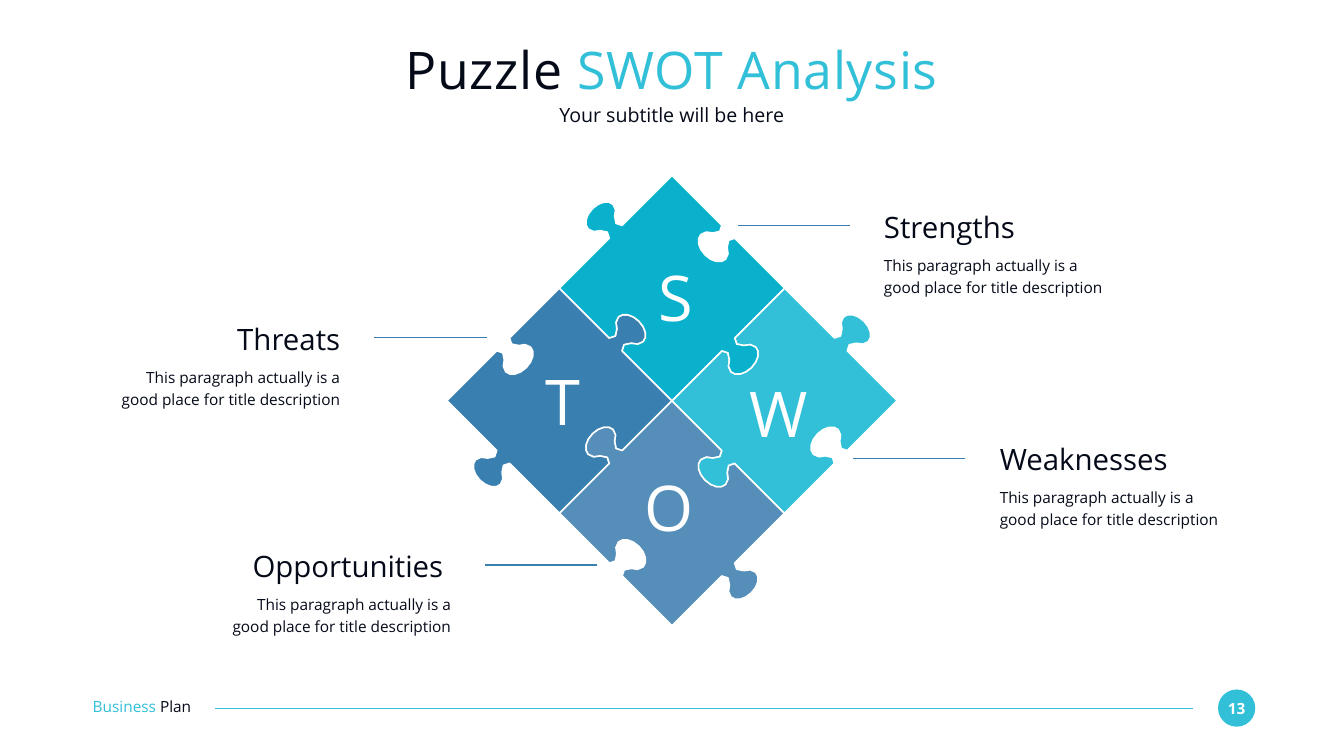
from lxml import etree
from pptx import Presentation
from pptx.dml.color import RGBColor
from pptx.enum.shapes import MSO_CONNECTOR, MSO_SHAPE
from pptx.enum.text import MSO_ANCHOR, PP_ALIGN
from pptx.oxml.ns import qn
from pptx.util import Inches, Pt

STRAIGHT = MSO_CONNECTOR.STRAIGHT
OVAL = MSO_SHAPE.OVAL
TOP, MIDDLE = MSO_ANCHOR.TOP, MSO_ANCHOR.MIDDLE
LEFT, CENTER, RIGHT = PP_ALIGN.LEFT, PP_ALIGN.CENTER, PP_ALIGN.RIGHT

WIDTH, HEIGHT = Inches(26.67), Inches(15)
COL, ROW = WIDTH / 100, HEIGHT / 100
FONT = "Open Sans"
INK = RGBColor(0x05, 0x0A, 0x19)
WHITE = RGBColor(0xFF, 0xFF, 0xFF)
CYAN = RGBColor(0x32, 0xC0, 0xD8)
TEAL = RGBColor(0x09, 0xB1, 0xCC)
BLUE = RGBColor(0x39, 0x7F, 0xB0)
STEEL = RGBColor(0x55, 0x8E, 0xB9)

DESCRIPTION = "This paragraph actually is a good place for title description"
CALLOUTS = [
    ("Threats", 8.29, 42.47, RIGHT),
    ("Opportunities ", 16.54, 72.53, RIGHT),
    ("Strengths", 65.77, 27.67, LEFT),
    ("Weaknesses", 74.39, 58.4, LEFT),
]
PIECES = [
    ("T", BLUE, (-1, 0), 1, (0.03, 0)),
    ("O", STEEL, (0, 1), -1, (-0.03, -0.06)),
    ("W", CYAN, (1, 0), 1, (-0.05, 0.11)),
    ("S", TEAL, (0, -1), -1, (0.03, 0.08)),
]
KNOB_START = (-5.7, 0)
KNOB_CURVES = [
    (1, (-4.8, 0.2), (-3.9, 1.8), (-3.9, 3.6)),
    (1, (-3.9, 5.4), (-5, 6.9), (-6.4, 7.4)),
    (2, (-9, 8.7), (-11, 10.7), (-11, 13.4)),
    (4, (-11, 17.4), (-6.1, 20.6), (0, 20.6)),
]


def knob_profile():
    """Return the knob outline as (along, outward) percentages of an edge."""
    half = [KNOB_START]
    for steps, first, second, end in KNOB_CURVES:
        controls = (half[-1], first, second, end)
        for step in range(1, steps + 1):
            t = step / steps
            weights = ((1 - t) ** 3, 3 * t * (1 - t) ** 2, 3 * t * t * (1 - t), t ** 3)
            half.append(tuple(sum(w * p[axis] for w, p in zip(weights, controls))
                              for axis in (0, 1)))
    return half + [(-along, out) for along, out in reversed(half[:-1])]


def add_text(slide, box, parts, size, align=LEFT, anchor=TOP, line_spacing=None):
    """Place one paragraph of coloured (text, colour) parts and return it."""
    frame = slide.shapes.add_textbox(*(round(v) for v in box)).text_frame
    frame.word_wrap = True
    frame.vertical_anchor = anchor
    frame.margin_left = frame.margin_right = frame.margin_top = frame.margin_bottom = 0
    paragraph = frame.paragraphs[0]
    paragraph.alignment = align
    if line_spacing:
        paragraph.line_spacing = line_spacing
    for text, colour in parts:
        run = paragraph.add_run()
        run.text = text
        run.font.name, run.font.size = FONT, Pt(size)
        run.font.color.rgb = colour
    return paragraph


def add_rule(slide, start, end, y, colour):
    """Draw a horizontal rule."""
    rule = slide.shapes.add_connector(STRAIGHT, round(start), round(y), round(end), round(y))
    rule.line.color.rgb = colour
    rule.line.width = Pt(1.5)
    etree.SubElement(rule._element.spPr, qn("a:effectLst"))


def add_header(slide, left, top, width, height):
    """Place the title above its subtitle."""
    title = add_text(slide, (left, top, width, height * 0.71),
                     [("Puzzle ", INK), ("SWOT Analysis", CYAN)], 74, CENTER, MIDDLE)
    for run in title.runs:
        run._r.get_or_add_rPr().set("spc", "100")
    add_text(slide, (left, top + height * 0.73, width, height * 0.27),
             [("Your subtitle will be here", INK)], 28, CENTER, MIDDLE)


def add_footer(slide, left, top, width, height):
    """Place the deck name, the rule and the page badge."""
    add_text(slide, (left, top + height * 0.21, 9 * COL, height / 2),
             [("Business ", CYAN), ("Plan", INK)], 22)
    badge_left = left + width - height
    add_rule(slide, badge_left - 1.88 * COL, left + 9.11 * COL, top + height / 2, CYAN)
    badge = slide.shapes.add_shape(OVAL, round(badge_left), round(top),
                                   round(height), round(height))
    badge.shadow.inherit = False
    badge.fill.solid()
    badge.fill.fore_color.rgb = CYAN
    badge.line.fill.background()
    frame = badge.text_frame
    frame.margin_left = frame.margin_right = frame.margin_top = frame.margin_bottom = 0
    frame.vertical_anchor = MIDDLE
    frame.text = "13"
    frame.paragraphs[0].alignment = CENTER
    font = frame.paragraphs[0].runs[0].font
    font.name, font.size, font.bold = FONT, Pt(22), True
    font.color.rgb = WHITE


def add_piece(slide, centre_x, centre_y, half, sign, colour):
    """Draw a diamond whose edges alternate between tab and socket."""
    corners = [(-half, 0), (0, half), (half, 0), (0, -half)]
    outline = []
    for index, (x, y) in enumerate(corners):
        next_x, next_y = corners[(index + 1) % 4]
        edge_x, edge_y = next_x - x, next_y - y
        outline.append((centre_x + x, centre_y + y))
        for along, out in knob_profile():
            a, o = 0.5 + along / 100, sign * out / 100
            outline.append((centre_x + x + a * edge_x - o * edge_y,
                            centre_y + y + a * edge_y + o * edge_x))
        sign = -sign
    outline = [(round(x), round(y)) for x, y in outline]
    builder = slide.shapes.build_freeform(*outline[0])
    builder.add_line_segments(outline[1:], close=True)
    piece = builder.convert_to_shape()
    piece.shadow.inherit = False
    piece.fill.solid()
    piece.fill.fore_color.rgb = colour
    piece.line.color.rgb = WHITE
    piece.line.width = Pt(2.25)


def add_puzzle(slide, left, top, size):
    """Place the four interlocking pieces, then their letters."""
    half = size / 4
    centres = [(left + size / 2 + dx * half, top + size / 2 + dy * half)
               for _, _, (dx, dy), _, _ in PIECES]
    for (x, y), (_, colour, _, sign, _) in zip(centres, PIECES):
        add_piece(slide, x, y, half, sign, colour)
    letter_width, letter_height = half * 0.94, half * 0.68
    for (x, y), (letter, _, _, _, (shift_x, shift_y)) in zip(centres, PIECES):
        box = (x + shift_x * half - letter_width / 2,
               y + shift_y * half - letter_height / 2, letter_width, letter_height)
        add_text(slide, box, [(letter, WHITE)], 90, CENTER)


def add_callout(slide, left, top, width, height, heading, align):
    """Place a heading, its description and a rule towards the puzzle."""
    add_text(slide, (left, top, width, height * 0.41), [(heading, INK)], 42, align)
    add_text(slide, (left, top + height * 0.49, width, height * 0.51),
             [(DESCRIPTION, INK)], 22, align, line_spacing=1.2)
    gap, length = width * 0.15, width * 0.49
    near = left + width + gap if align == RIGHT else left - gap - length
    add_rule(slide, near + length, near, top + height * 0.19, BLUE)


def main():
    """Build and save the slide."""
    deck = Presentation()
    deck.slide_width, deck.slide_height = WIDTH, HEIGHT
    slide = deck.slides.add_slide(deck.slide_layouts[6])
    add_footer(slide, 6.9 * COL, 91.2 * ROW, 86.5 * COL, 4.93 * ROW)
    add_header(slide, 6.86 * COL, 4.87 * ROW, 86.24 * COL, 11.93 * ROW)
    size = 33.5 * COL
    add_puzzle(slide, 50 * COL - size / 2, 53 * ROW - size / 2, size)
    for heading, column, row, align in CALLOUTS:
        add_callout(slide, column * COL, row * ROW, 17.02 * COL, 11.6 * ROW, heading, align)
    deck.save("out.pptx")


if __name__ == "__main__":
    main()
